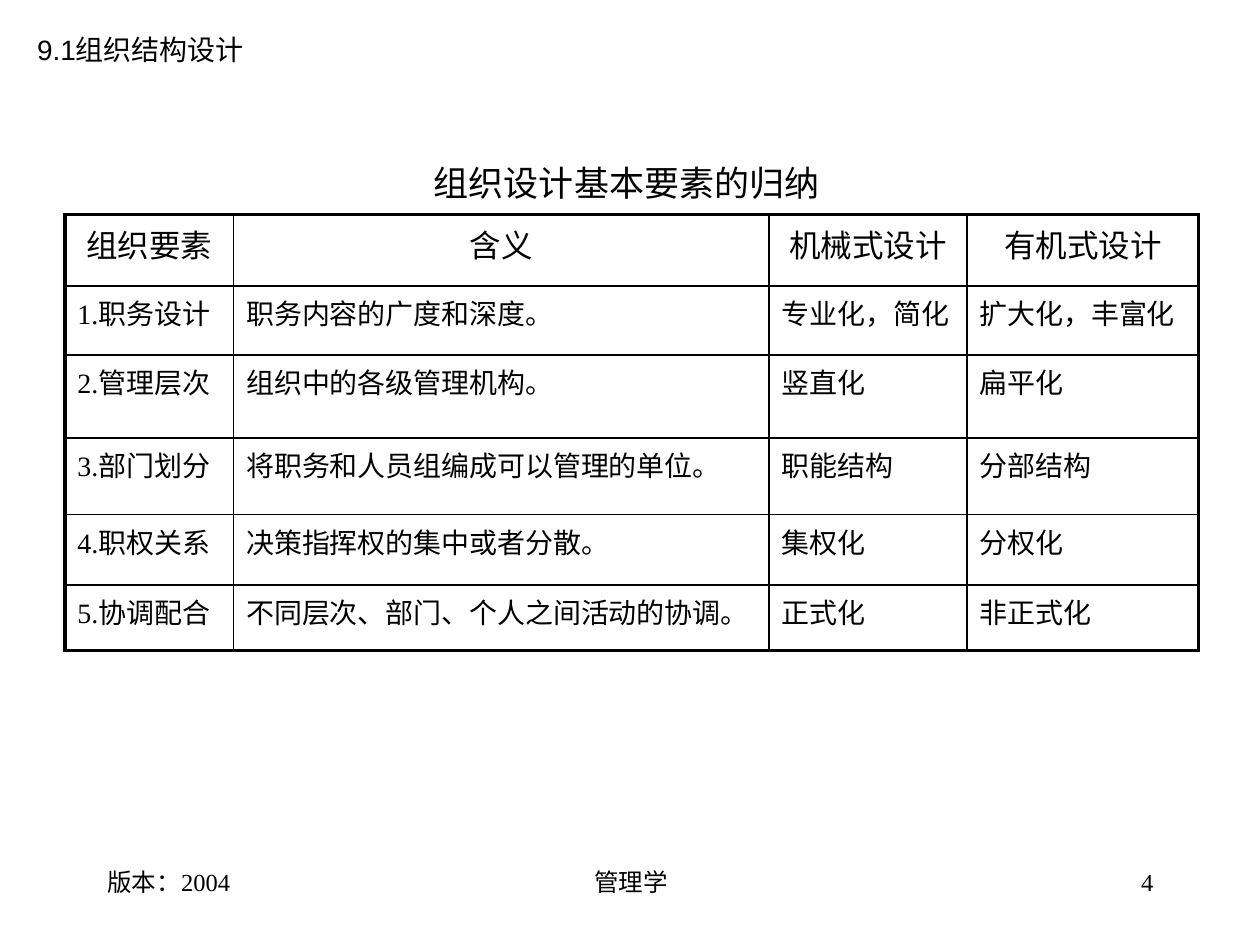
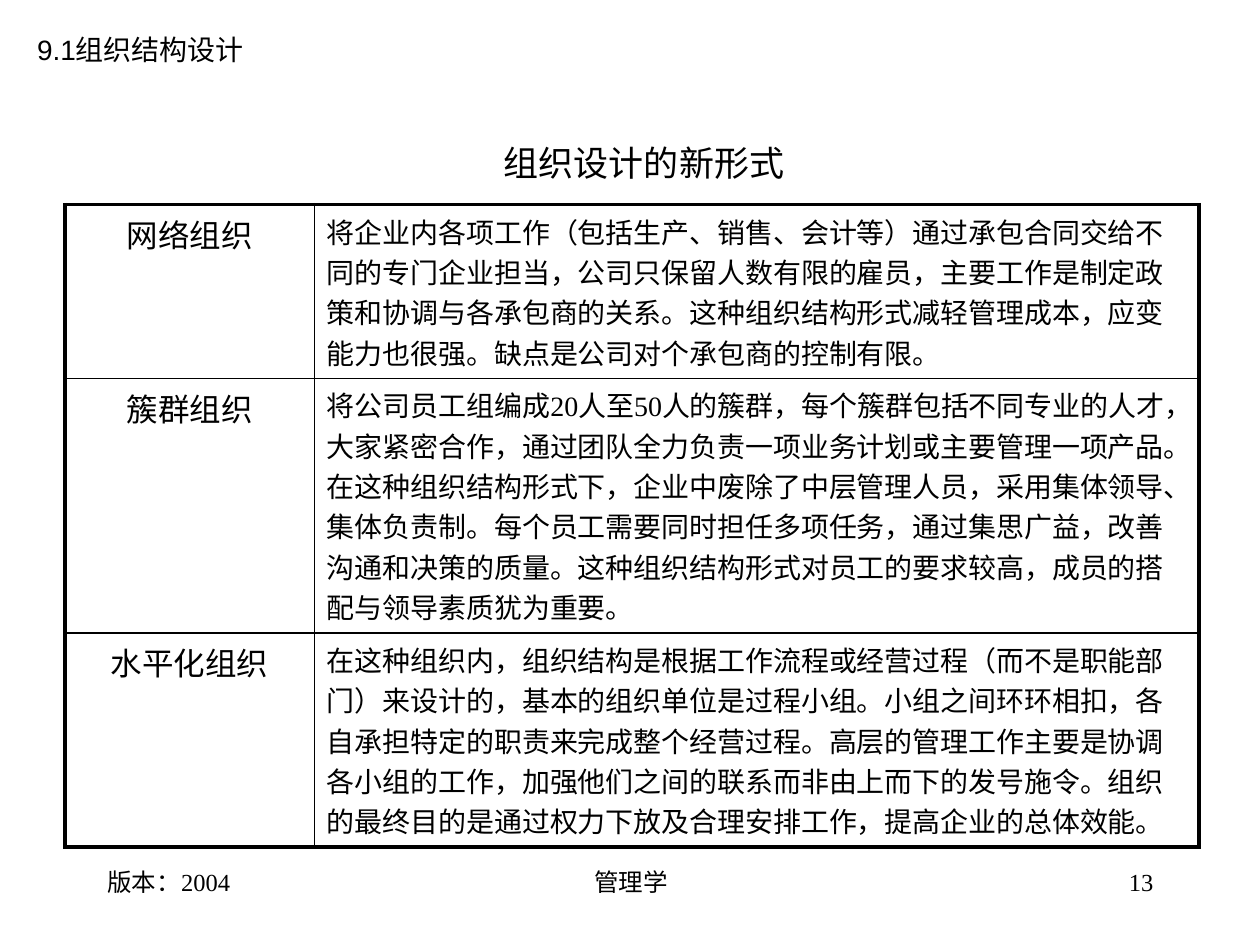
from lxml import etree
from pptx import Presentation
from pptx import util as u
from pptx.dml import color
from pptx.enum import text
from pptx.oxml import ns

GRID_COLUMNS, GRID_ROWS = 100, 75
SLIDE_WIDTH, SLIDE_HEIGHT = u.Inches(10), u.Inches(7.5)
COLORS = {"ink": "000000", "paper": "FFFFFF"}
RULES = {"outer": 2.25, "inner": 1}
LEFT, CENTER, RIGHT = (text.PP_ALIGN.LEFT, text.PP_ALIGN.CENTER, text.PP_ALIGN.RIGHT)

FORMATS = {
    "section": {"name": "Arial", "size": u.Pt(16)},
    "heading": {"name": "Arial", "size": u.Pt(20)},
    "label": {"name": "Times New Roman", "size": u.Pt(18)},
    "body": {"name": "Times New Roman", "size": u.Pt(16)},
    "footer": {"name": "Times New Roman", "size": u.Pt(14)},
}

SECTION_TITLE = "9.1组织结构设计"
SECTION_BOX = (1.96, 2.1, 20, 3.7)
FOOTER_BOX = (7.53, 68.3, 85, 5)
FOOTER_PARTS = [(0, 20.8, LEFT), (26.7, 31.7, CENTER), (64.2, 20.8, RIGHT)]

ELEMENTS = {
    "page": 4,
    "heading": "组织设计基本要素的归纳",
    "heading_box": (33.45, 12.3, 34.7, 4.3),
    "table_box": (5.15, 17.03, 90, 34.6),
    "columns": [13.4, 42.5, 15.7, 18.4],
    "rows": [5.7, 5.5, 6.6, 6.1, 5.6, 5.2],
    "is_label": lambda row, column: row == 0,
    "cells": [
        ["组织要素", "含义", "机械式设计", "有机式设计"],
        ["1.职务设计", "职务内容的广度和深度。", "专业化，简化", "扩大化，丰富化"],
        ["2.管理层次", "组织中的各级管理机构。", "竖直化", "扁平化"],
        ["3.部门划分", "将职务和人员组编成可以管理的单位。", "职能结构", "分部结构"],
        ["4.职权关系", "决策指挥权的集中或者分散。", "集权化", "分权化"],
        ["5.协调配合", "不同层次、部门、个人之间活动的协调。", "正式化", "非正式化"],
    ],
}

NEW_FORMS = {
    "page": 13,
    "heading": "组织设计的新形式",
    "heading_box": (39, 10.7, 25.2, 4.3),
    "table_box": (5.15, 16.23, 90, 51),
    "columns": [19.8, 70.2],
    "rows": [13.8, 20.2, 17],
    "is_label": lambda row, column: column == 0,
    "cells": [
        ["网络组织",
         "将企业内各项工作（包括生产、销售、会计等）通过承包合同交给不同的专门企业担当，"
         "公司只保留人数有限的雇员，主要工作是制定政策和协调与各承包商的关系。"
         "这种组织结构形式减轻管理成本，应变能力也很强。缺点是公司对个承包商的控制有限。"],
        ["簇群组织",
         "将公司员工组编成20人至50人的簇群，每个簇群包括不同专业的人才，大家紧密合作，"
         "通过团队全力负责一项业务计划或主要管理一项产品。在这种组织结构形式下，"
         "企业中废除了中层管理人员，采用集体领导、集体负责制。"
         "每个员工需要同时担任多项任务，通过集思广益，改善沟通和决策的质量。"
         "这种组织结构形式对员工的要求较高，成员的搭配与领导素质犹为重要。"],
        ["水平化组织",
         "在这种组织内，组织结构是根据工作流程或经营过程（而不是职能部门）来设计的，"
         "基本的组织单位是过程小组。小组之间环环相扣，各自承担特定的职责来完成整个经营过程。"
         "高层的管理工作主要是协调各小组的工作，加强他们之间的联系而非由上而下的发号施令。"
         "组织的最终目的是通过权力下放及合理安排工作，提高企业的总体效能。"],
    ],
}


def place(box):
    """Turn a box in grid columns and rows into slide lengths."""
    left, top, width, height = box
    column, row = SLIDE_WIDTH / GRID_COLUMNS, SLIDE_HEIGHT / GRID_ROWS
    return [u.Emu(round(length)) for length in
            (left * column, top * row, width * column, height * row)]


def write(text_frame, words, style, alignment=LEFT):
    """Write one formatted paragraph into a text frame."""
    text_frame.word_wrap = True
    paragraph = text_frame.paragraphs[0]
    paragraph.alignment = alignment
    run = paragraph.add_run()
    run.text = words
    for attribute, value in FORMATS[style].items():
        setattr(run.font, attribute, value)
    run.font.color.rgb = color.RGBColor.from_string(COLORS["ink"])


def add_text(slide, box, words, style, alignment=LEFT):
    """Add a text box that fills the given box."""
    shape = slide.shapes.add_textbox(*place(box))
    write(shape.text_frame, words, style, alignment)


def add_footer(slide, box, page):
    """Add the edition, course name and page number along the box."""
    left, top, _, height = box
    words = ["版本：2004", "管理学", str(page)]
    for part, (offset, width, alignment) in zip(words, FOOTER_PARTS):
        add_text(slide, (left + offset, top, width, height), part, "footer", alignment)


def add_borders(cell, outer_sides):
    """Rule all four sides of a cell, heavier on the table's outer edge."""
    properties = cell._tc.get_or_add_tcPr()
    for side, is_outer in outer_sides.items():
        width = u.Pt(RULES["outer" if is_outer else "inner"])
        line = etree.SubElement(properties, ns.qn(f"a:ln{side}"), w=str(width))
        fill = etree.SubElement(line, ns.qn("a:solidFill"))
        etree.SubElement(fill, ns.qn("a:srgbClr"), val=COLORS["ink"])


def add_grid_table(slide, box, content):
    """Add a ruled table whose rows and columns share out the box."""
    rows, columns = content["rows"], content["columns"]
    _, _, width, height = place(box)
    table = slide.shapes.add_table(len(rows), len(columns), *place(box)).table
    for flag in ("first_row", "horz_banding"):
        setattr(table, flag, False)
    for column, share in zip(table.columns, columns):
        column.width = round(width * share / sum(columns))
    for row, share in zip(table.rows, rows):
        row.height = round(height * share / sum(rows))
    for i, line in enumerate(content["cells"]):
        for j, words in enumerate(line):
            cell = table.cell(i, j)
            is_label = content["is_label"](i, j)
            write(cell.text_frame, words, "label" if is_label else "body",
                  CENTER if is_label else LEFT)
            add_borders(cell, {"L": j == 0, "R": j == len(columns) - 1,
                               "T": i == 0, "B": i == len(rows) - 1})
            cell.fill.background()


def add_table_slide(presentation, content):
    """Add a slide with section title, heading, table and footer."""
    slide = presentation.slides.add_slide(presentation.slide_layouts[6])
    slide.background.fill.solid()
    slide.background.fill.fore_color.rgb = color.RGBColor.from_string(COLORS["paper"])
    add_footer(slide, FOOTER_BOX, content["page"])
    add_grid_table(slide, content["table_box"], content)
    add_text(slide, content["heading_box"], content["heading"], "heading")
    add_text(slide, SECTION_BOX, SECTION_TITLE, "section")


def main():
    """Build and save the presentation."""
    presentation = Presentation()
    presentation.slide_width, presentation.slide_height = SLIDE_WIDTH, SLIDE_HEIGHT
    for content in (ELEMENTS, NEW_FORMS):
        add_table_slide(presentation, content)
    presentation.save("out.pptx")


if __name__ == "__main__":
    main()
